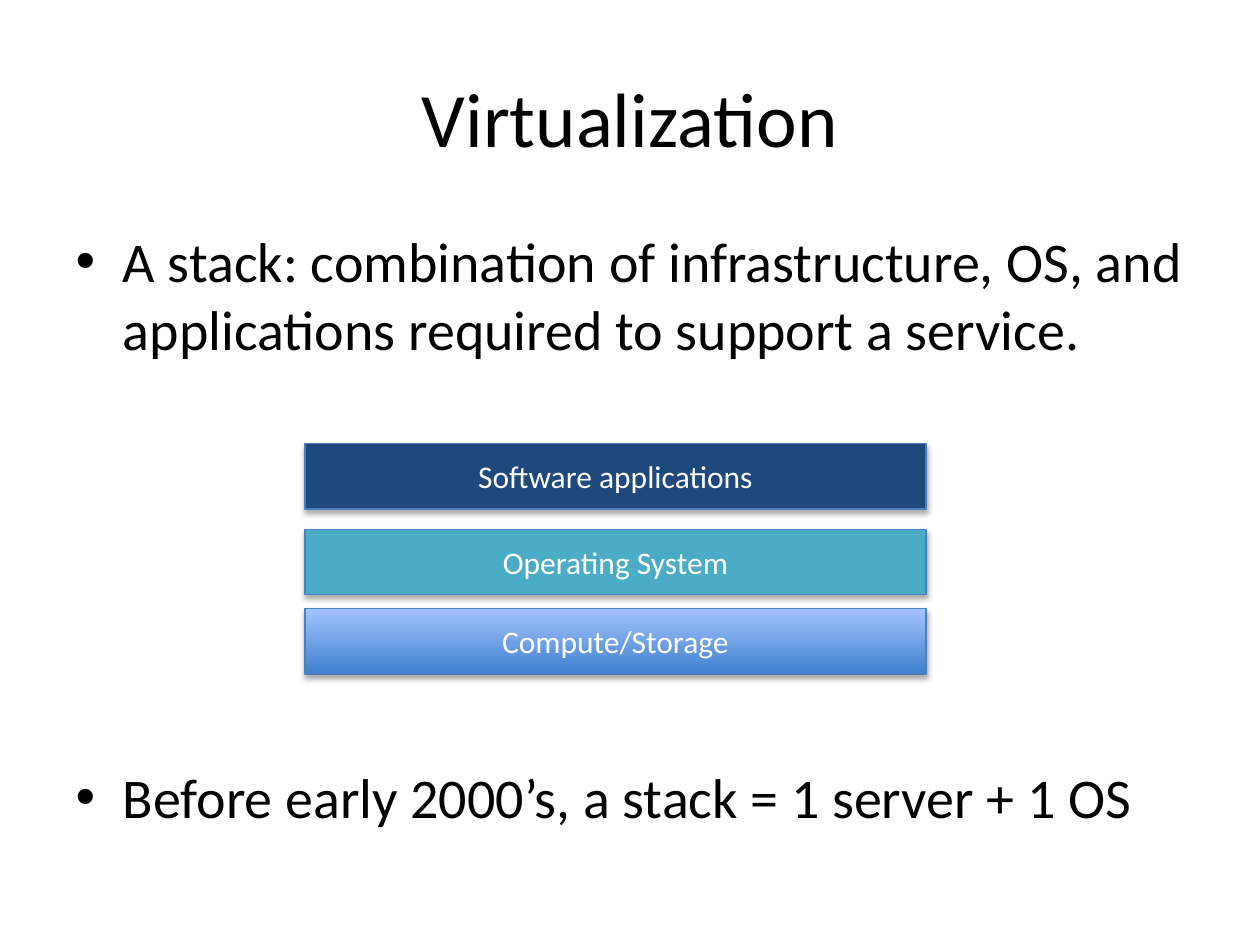
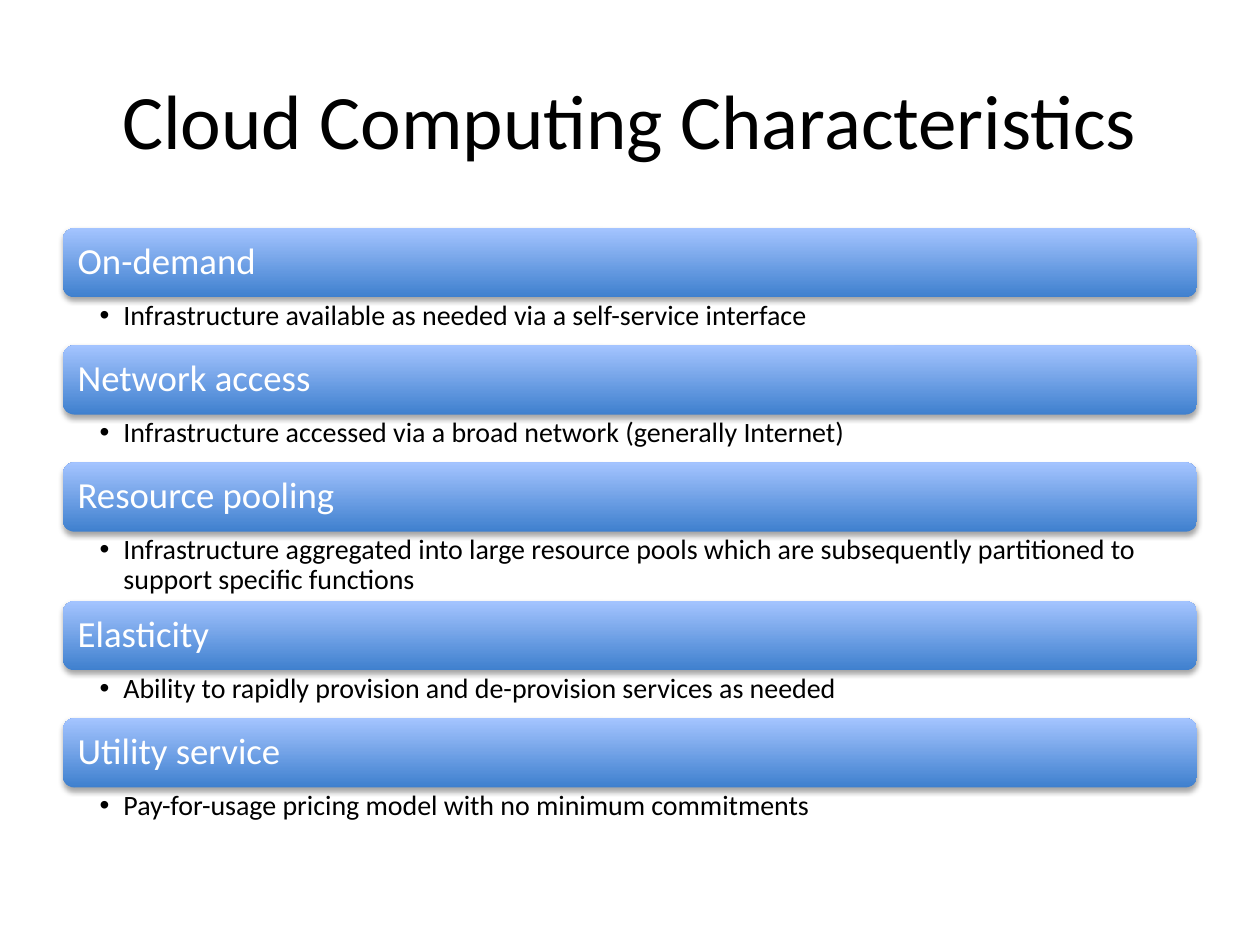
from dataclasses import dataclass

from lxml import etree
from pptx import Presentation
from pptx.dml.color import RGBColor
from pptx.enum.shapes import MSO_SHAPE
from pptx.enum.text import MSO_ANCHOR, MSO_AUTO_SIZE, PP_ALIGN
from pptx.oxml.ns import qn
from pptx.util import Inches, Pt

RECTANGLE, ROUNDED = MSO_SHAPE.RECTANGLE, MSO_SHAPE.ROUNDED_RECTANGLE
LEFT, CENTER = PP_ALIGN.LEFT, PP_ALIGN.CENTER
TOP, MIDDLE = MSO_ANCHOR.TOP, MSO_ANCHOR.MIDDLE
NO_FIT = MSO_AUTO_SIZE.NONE

# Shared look
FONT = "Calibri"
BLACK = RGBColor(0x00, 0x00, 0x00)
WHITE = RGBColor(0xFF, 0xFF, 0xFF)
NAVY = RGBColor(0x1F, 0x49, 0x7D)
TEAL = RGBColor(0x4B, 0xAC, 0xC6)
EDGE = RGBColor(0x4B, 0x7E, 0xBC)
DEEP_BLUE = RGBColor(0x3F, 0x80, 0xCE)
LIGHT_BLUE = RGBColor(0xA4, 0xC4, 0xFF)

# Grid of 20 columns by 15 rows
WIDTH, HEIGHT = Inches(10), Inches(7.5)
COLUMN, ROW = WIDTH / 20, HEIGHT / 15
MARGIN, CONTENT = 1, 18


@dataclass(frozen=True)
class Cell:
    """A place on the grid, in columns and rows."""
    left: float
    top: float
    width: float
    height: float

    def box(self) -> tuple[int, int, int, int]:
        return (round(self.left * COLUMN), round(self.top * ROW),
                round(self.width * COLUMN), round(self.height * ROW))


@dataclass(frozen=True)
class Layer:
    label: str
    top: float
    color: RGBColor | None = None  # None means the blue gradient


@dataclass(frozen=True)
class Characteristic:
    heading: str
    detail: str
    detail_rows: float = 0.76


LAYERS = [
    Layer("Compute/Storage", 9.66),
    Layer("Software applications", 7.04, NAVY),
    Layer("Operating System", 8.4, TEAL),
]
STACK_POINTS = [
    "A stack: combination of infrastructure, OS, and applications "
    "required to support a service.",
    "Before early 2000’s, a stack = 1 server + 1 OS",
]
DIAGRAM_GAP = Pt(229.5)
CHARACTERISTICS = [
    Characteristic("On-demand",
                   "Infrastructure available as needed via a self-service interface"),
    Characteristic("Network access",
                   "Infrastructure accessed via a broad network (generally Internet)"),
    Characteristic("Resource pooling",
                   "Infrastructure aggregated into large resource pools which are "
                   "subsequently partitioned to support specific functions", 1.1),
    Characteristic("Elasticity",
                   "Ability to rapidly provision and de-provision services as needed"),
    Characteristic("Utility service",
                   "Pay-for-usage pricing model with no minimum commitments"),
]


def write(frame, *lines: str, size: float, color=BLACK, align=LEFT, anchor=TOP,
          insets=(0.1, 0.05, 0.1, 0.05), line_spacing=None) -> None:
    """Fill a text frame with one paragraph per line."""
    frame.word_wrap, frame.auto_size, frame.vertical_anchor = True, NO_FIT, anchor
    (frame.margin_left, frame.margin_top,
     frame.margin_right, frame.margin_bottom) = map(Inches, insets)
    frame.text = "\n".join(lines)
    for paragraph in frame.paragraphs:
        paragraph.alignment = align
        if line_spacing:
            paragraph.line_spacing = line_spacing
        for run in paragraph.runs:
            run.font.name, run.font.size = FONT, Pt(size)
            run.font.color.rgb = color


def place(shape, cell: Cell) -> None:
    shape.left, shape.top, shape.width, shape.height = cell.box()


def add_titled_slide(deck, layout: int, title: str, top: float):
    slide = deck.slides.add_slide(deck.slide_layouts[layout])
    heading = slide.shapes.title
    place(heading, Cell(MARGIN, top, CONTENT, 2.5))
    write(heading.text_frame, title, size=44, align=CENTER, anchor=MIDDLE)
    return slide


def add_shadow(shape) -> None:
    shape.shadow.inherit = False
    effects = shape._element.spPr.find(qn("a:effectLst"))
    shadow = etree.SubElement(effects, qn("a:outerShdw"), blurRad=str(Pt(3.1)),
                              dist=str(Pt(1.8)), dir="5400000", rotWithShape="0")
    black = etree.SubElement(shadow, qn("a:srgbClr"), val=str(BLACK))
    etree.SubElement(black, qn("a:alpha"), val="35000")


def add_bar(slide, kind, cell: Cell, color: RGBColor | None = None,
            edge: RGBColor | None = None):
    """Add a shadowed bar, blue gradient unless a colour is given."""
    bar = slide.shapes.add_shape(kind, *cell.box())
    if color is None:
        bar.fill.gradient()
        bar.fill.gradient_angle = 90
        for stop, shade in zip(bar.fill.gradient_stops, (DEEP_BLUE, LIGHT_BLUE)):
            stop.color.rgb = shade
    else:
        bar.fill.solid()
        bar.fill.fore_color.rgb = color
    if edge is None:
        bar.line.fill.background()
    else:
        bar.line.color.rgb, bar.line.width = edge, Pt(0.75)
    add_shadow(bar)
    return bar


def add_bullet(paragraph, indent: int) -> None:
    properties = paragraph._p.get_or_add_pPr()
    properties.set("marL", str(indent))
    properties.set("indent", str(-indent))
    etree.SubElement(properties, qn("a:buFont"), typeface="Arial")
    etree.SubElement(properties, qn("a:buChar"), char="•")


def build_virtualization(deck) -> None:
    slide = add_titled_slide(deck, 1, "Virtualization", 0.6)

    # Points above and below the diagram
    points = slide.placeholders[1]
    place(points, Cell(MARGIN, 3.5, CONTENT, 10.76))
    write(points.text_frame, *STACK_POINTS, size=32)
    points.text_frame.paragraphs[-1].space_before = DIAGRAM_GAP

    # Stack diagram
    for layer in LAYERS:
        bar = add_bar(slide, RECTANGLE, Cell(4.84, layer.top, 9.86, 1.04),
                      layer.color, EDGE)
        write(bar.text_frame, layer.label, size=18, color=WHITE,
              align=CENTER, anchor=MIDDLE)


def build_characteristics(deck) -> None:
    slide = add_titled_slide(deck, 5, "Cloud Computing Characteristics", 0.64)
    top, bar_rows = 3.62, 1.1

    # Each heading bar is followed by its explanation
    for item in CHARACTERISTICS:
        bar = add_bar(slide, ROUNDED, Cell(MARGIN, top, CONTENT, bar_rows))
        write(bar.text_frame, item.heading, size=21, color=WHITE, anchor=MIDDLE,
              insets=(0.09,) * 4, line_spacing=0.9)
        top += bar_rows
        detail = slide.shapes.add_textbox(
            *Cell(MARGIN, top, CONTENT, item.detail_rows).box())
        write(detail.text_frame, item.detail, size=16,
              insets=(0.29, 0.03, 0.16, 0.03), line_spacing=0.9)
        add_bullet(detail.text_frame.paragraphs[0], Inches(0.19))
        top += item.detail_rows


def main() -> None:
    deck = Presentation()
    deck.slide_width, deck.slide_height = WIDTH, HEIGHT
    build_virtualization(deck)
    build_characteristics(deck)
    deck.save("out.pptx")


if __name__ == "__main__":
    main()
